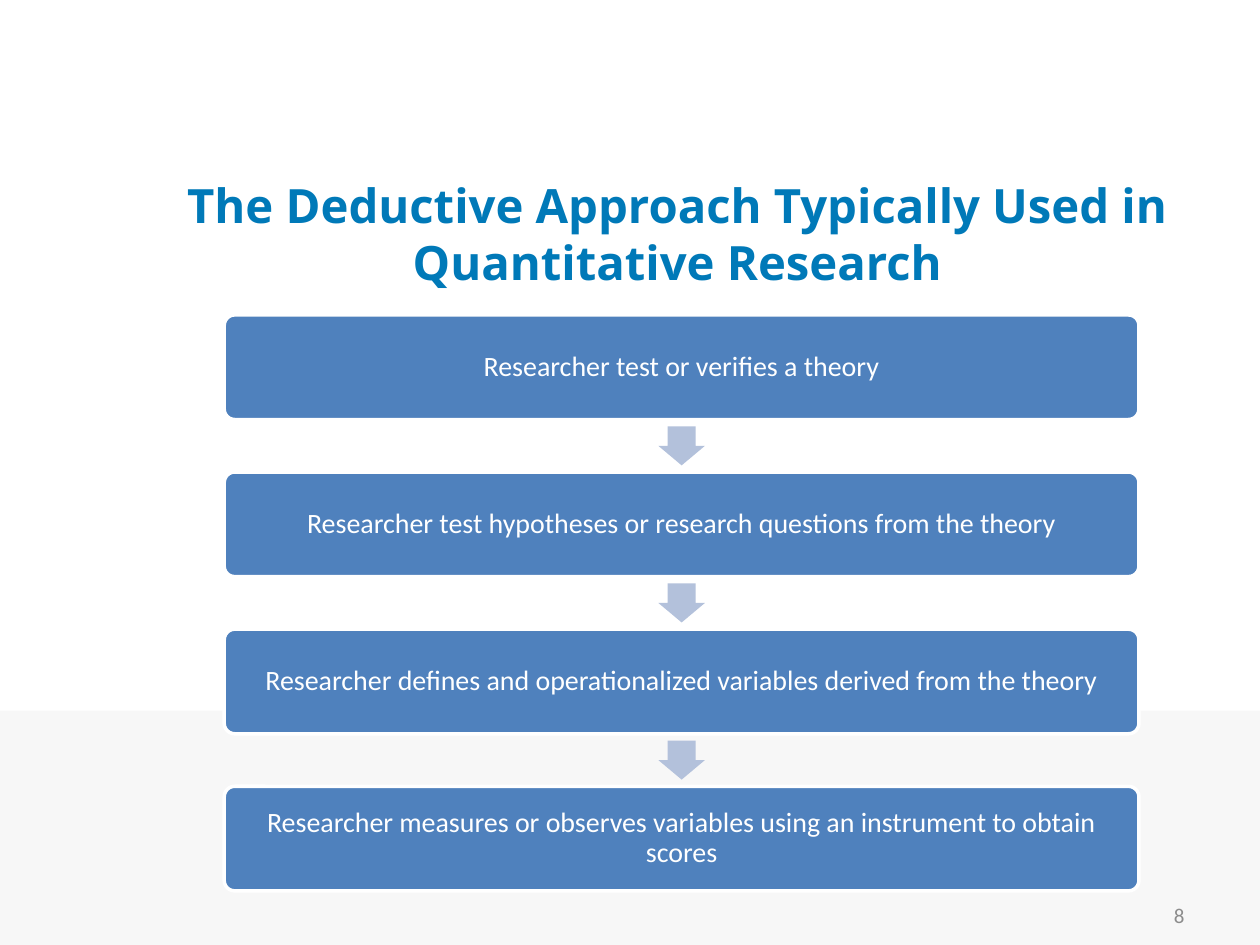
"""Builds the slide on the deductive approach in quantitative research."""
from pptx import Presentation
from pptx.dml.color import RGBColor
from pptx.enum import shapes, text
from pptx.util import Inches, Pt

WHITE = RGBColor(0xFF, 0xFF, 0xFF)
BAND_GREY = RGBColor(0xF7, 0xF7, 0xF7)
TITLE_BLUE = RGBColor(0x00, 0x79, 0xB8)
STEP_BLUE = RGBColor(0x4F, 0x81, 0xBD)
ARROW_BLUE = RGBColor(0xB3, 0xC1, 0xDB)
NUMBER_GREY = RGBColor(0x8C, 0x8C, 0x8C)

STEPS = [
    "Researcher test or verifies a theory",
    "Researcher test hypotheses or research questions from the theory",
    "Researcher defines and operationalized variables derived from the theory",
    "Researcher measures or observes variables using an instrument to obtain scores",
]
STEP_LEFT, STEP_TOP, STEP_WIDTH, STEP_HEIGHT = 1.78, 2.5, 7.26, 0.83
PITCH = 1.247
ARROW_WIDTH, ARROW_HEIGHT = 0.37, 0.31

prs = Presentation()
prs.slide_width, prs.slide_height = Inches(10), Inches(7.5)
slide = prs.slides.add_slide(prs.slide_layouts[6])


def add_block(kind, left, top, width, height, color):
    block = slide.shapes.add_shape(
        kind, Inches(left), Inches(top), Inches(width), Inches(height))
    block.shadow.inherit = False
    block.fill.solid()
    block.fill.fore_color.rgb = color
    block.line.fill.background()
    return block


def write(holder, words, font, size, color, align, bold=False):
    frame = holder.text_frame
    frame.word_wrap = True
    frame.vertical_anchor = text.MSO_ANCHOR.MIDDLE
    paragraph = frame.paragraphs[0]
    paragraph.alignment = align
    run = paragraph.add_run()
    run.text = words
    run.font.name, run.font.size, run.font.bold = font, Pt(size), bold
    run.font.color.rgb = color
    return frame


add_block(shapes.MSO_SHAPE.RECTANGLE, 0, 5.64, 10, 1.86, BAND_GREY)

title = slide.shapes.add_textbox(Inches(1.25), Inches(1.5), Inches(8.25), Inches(0.7))
write(title, "The Deductive Approach Typically Used in Quantitative Research",
      "Open Sans", 27, TITLE_BLUE, text.PP_ALIGN.CENTER, bold=True)

page_number = slide.shapes.add_textbox(
    Inches(7.17), Inches(7.06), Inches(2.33), Inches(0.4))
write(page_number, "8", "Calibri", 12, NUMBER_GREY, text.PP_ALIGN.RIGHT)

for index, words in enumerate(STEPS):
    top = STEP_TOP + index * PITCH
    step = add_block(shapes.MSO_SHAPE.ROUNDED_RECTANGLE,
                     STEP_LEFT, top, STEP_WIDTH, STEP_HEIGHT, STEP_BLUE)
    step.adjustments[0] = 0.1
    step.line.color.rgb = WHITE
    step.line.width = Pt(2)
    frame = write(step, words, "Calibri", 16, WHITE, text.PP_ALIGN.CENTER)
    frame.margin_left = frame.margin_right = Inches(0.07)
    frame.margin_top = frame.margin_bottom = Inches(0.07)
    frame.paragraphs[0].line_spacing = 0.9

    if index < len(STEPS) - 1:
        gap = PITCH - STEP_HEIGHT
        arrow = add_block(shapes.MSO_SHAPE.DOWN_ARROW,
                          STEP_LEFT + (STEP_WIDTH - ARROW_WIDTH) / 2,
                          top + STEP_HEIGHT + (gap - ARROW_HEIGHT) / 2,
                          ARROW_WIDTH, ARROW_HEIGHT, ARROW_BLUE)
        arrow.adjustments[0] = 0.6
        arrow.adjustments[1] = 0.5

prs.save("out.pptx")
